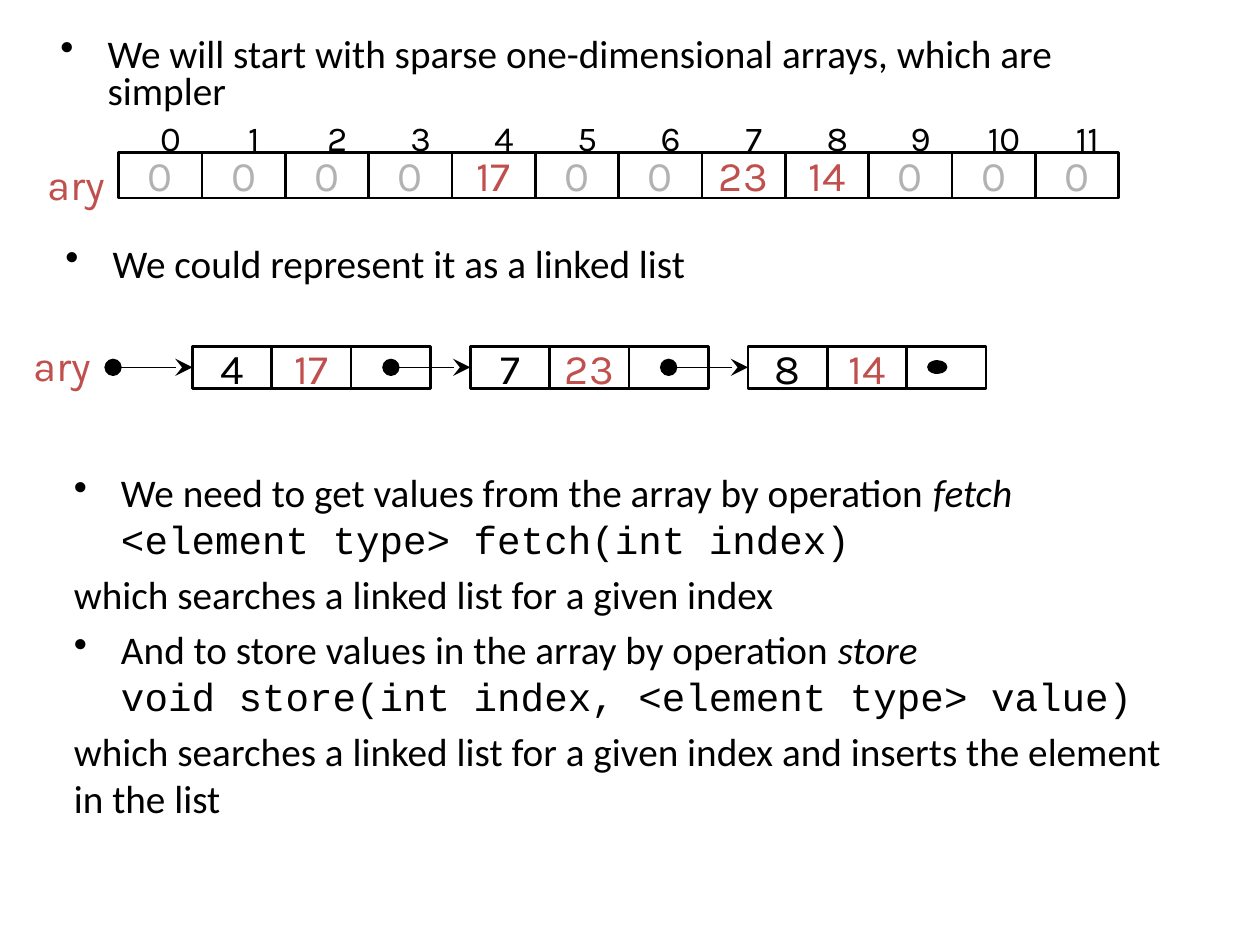
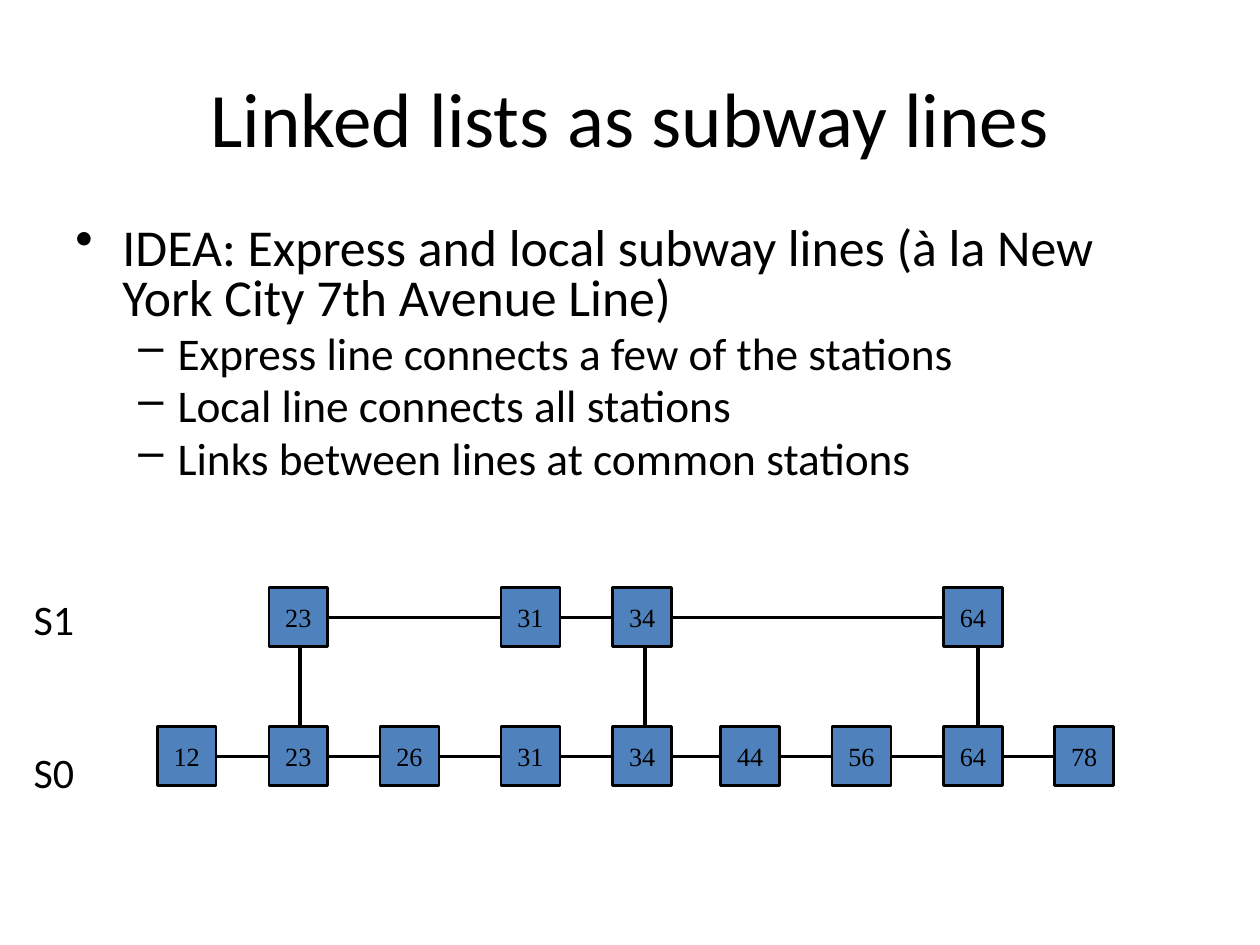
"""Build two slides on sparse arrays as linked lists and on subway lines."""
from dataclasses import dataclass
from itertools import pairwise

from lxml import etree
from pptx import Presentation
from pptx.dml.color import RGBColor
from pptx.enum.shapes import MSO_CONNECTOR, MSO_SHAPE
from pptx.enum.text import MSO_ANCHOR, PP_ALIGN
from pptx.oxml.ns import qn
from pptx.util import Cm, Pt

PROCESS, RECTANGLE, OVAL = MSO_SHAPE.FLOWCHART_PROCESS, MSO_SHAPE.RECTANGLE, MSO_SHAPE.OVAL
STRAIGHT = MSO_CONNECTOR.STRAIGHT
TOP, MIDDLE = MSO_ANCHOR.TOP, MSO_ANCHOR.MIDDLE
LEFT, CENTER = PP_ALIGN.LEFT, PP_ALIGN.CENTER

BLACK, GREY, RED, BLUE = "000000", "B2B2B2", "C0504D", "4F81BD"
BODY, CODE, LABEL, STATION = "Calibri", "Courier New", "Karla", "Times New Roman"
BREAK = "\n"


@dataclass(frozen=True)
class Span:
    """Text in one format."""

    text: str
    size: float = 22.4
    font: str = BODY
    color: str = BLACK
    italic: bool = False


@dataclass(frozen=True)
class Para:
    """A paragraph with its spacing, margin and bullet."""

    spans: tuple[Span, ...]
    align: PP_ALIGN = LEFT
    line_spacing: float = 1.0
    before: float = 0
    bullet: str = ""
    margin: float = 0
    hanging: float = 0
    level: int = 0


@dataclass(frozen=True)
class Frame:
    """A position and size in centimetres."""

    left: float
    top: float
    width: float
    height: float

    def lengths(self) -> tuple[Cm, ...]:
        """Return the four values as lengths."""
        return Cm(self.left), Cm(self.top), Cm(self.width), Cm(self.height)


def rgb(color: str) -> RGBColor:
    """Turn a hex string into a colour."""
    return RGBColor.from_string(color)


def set_values(target, values: dict) -> None:
    """Set each named attribute of the target."""
    for name, value in values.items():
        setattr(target, name, value)


def add_bullet(paragraph, para: Para) -> None:
    """Give a paragraph a hanging bullet."""
    properties = paragraph._p.get_or_add_pPr()
    properties.set("marL", str(Cm(para.margin)))
    properties.set("indent", str(-Cm(para.hanging)))
    bullet_color = etree.SubElement(properties, qn("a:buClr"))
    etree.SubElement(bullet_color, qn("a:srgbClr"), val=BLACK)
    etree.SubElement(properties, qn("a:buChar"), char=para.bullet)


def write(shape, paras: list[Para], anchor: MSO_ANCHOR = TOP) -> None:
    """Write paragraphs into a shape."""
    text_frame = shape.text_frame
    set_values(text_frame, {"word_wrap": True, "vertical_anchor": anchor})
    for number, para in enumerate(paras):
        paragraph = text_frame.add_paragraph() if number else text_frame.paragraphs[0]
        set_values(paragraph, {
            "alignment": para.align,
            "line_spacing": para.line_spacing,
            "space_before": Pt(para.before),
            "level": para.level,
        })
        if para.bullet:
            add_bullet(paragraph, para)
        for span in para.spans:
            if span.text == BREAK:
                paragraph.add_line_break()
                continue
            run = paragraph.add_run()
            run.text = span.text
            set_values(run.font, {"name": span.font, "size": Pt(span.size), "italic": span.italic})
            run.font.color.rgb = rgb(span.color)


def add_text(shapes, frame: Frame, paras: list[Para], anchor: MSO_ANCHOR = TOP) -> None:
    """Add a text box."""
    write(shapes.add_textbox(*frame.lengths()), paras, anchor)


def add_box(shapes, kind: MSO_SHAPE, frame: Frame, span: Span | None = None,
            fill: str = "", line: str = BLACK) -> None:
    """Add a preset shape with optional centred text."""
    box = shapes.add_shape(kind, *frame.lengths())
    box.shadow.inherit = False
    if fill:
        box.fill.solid()
        box.fill.fore_color.rgb = rgb(fill)
    else:
        box.fill.background()
    if line:
        box.line.width = Pt(1.5)
        box.line.color.rgb = rgb(line)
    else:
        box.line.fill.background()
    if span:
        write(box, [Para((span,), CENTER)], MIDDLE)


def add_line(shapes, start: tuple[float, float], end: tuple[float, float],
             width: float = 1.5, pointer: bool = False) -> None:
    """Add a straight line, as a pointer with a dot and an arrowhead if asked."""
    line = shapes.add_connector(STRAIGHT, *(Cm(value) for value in start + end))
    line.line.width = Pt(width)
    line.line.color.rgb = rgb(BLACK)
    properties = line._element.spPr
    if pointer:
        outline = properties.find(qn("a:ln"))
        for tag, kind in (("a:headEnd", "oval"), ("a:tailEnd", "stealth")):
            etree.SubElement(outline, qn(tag), type=kind, w="lg", len="lg")
    etree.SubElement(properties, qn("a:effectLst"))


def bulleted(*spans: Span, **formats) -> Para:
    """Make a first-level bullet paragraph."""
    return Para(spans, bullet="•", margin=0.95, hanging=0.95, **formats)


def draw_array(shapes) -> None:
    """Draw the sparse array under its indexes."""
    pitch, height = 1.68, 0.92
    values = (0, 0, 0, 0, 17, 0, 0, 23, 14, 0, 0, 0)
    for index, value in enumerate(values):
        cell = Frame(2.39 + index * pitch, 3.07, pitch, height)
        add_box(shapes, PROCESS, cell, Span(str(value), 24, LABEL, RED if value else GREY))
    for index in range(len(values)):
        heading = Frame(2.6 + index * pitch, 2.31, pitch, height)
        add_box(shapes, PROCESS, heading, Span(str(index), 20, LABEL), line="")
    add_text(shapes, Frame(0.71, 3.07, 2.72, height), [Para((Span("ary", 24, LABEL, RED),))])


def draw_linked_list(shapes) -> None:
    """Draw the chain of index, value and pointer cells."""
    top, width, height = 6.98, 1.6, 0.85
    middle = top + height / 2
    for number, (index, value) in enumerate(((4, 17), (7, 23), (8, 14))):
        left = 3.88 + number * 5.6
        contents = (Span(str(index), 24, LABEL), Span(str(value), 24, LABEL, RED), None)
        for column, span in enumerate(contents):
            add_box(shapes, PROCESS, Frame(left + column * width, top, width, height), span)
        add_line(shapes, (left - width, middle), (left, middle), 0.75, pointer=True)
    add_box(shapes, OVAL, Frame(18.69, 7.26, 0.41, 0.28), fill=BLACK, line="")
    add_text(shapes, Frame(0.43, 6.71, 2.59, height), [Para((Span("ary", 24, LABEL, RED),))])


def draw_subway(shapes) -> None:
    """Draw the express and local lines with the links between them."""
    size = 1.19
    lefts = {12: 3.17, 23: 5.42, 26: 7.66, 31: 10.1, 34: 12.35,
             44: 14.53, 56: 16.77, 64: 19.02, 78: 21.26}
    for top, stops in ((14.65, tuple(lefts)), (11.85, (23, 31, 34, 64))):
        middle = top + size / 2
        for stop in stops:
            add_box(shapes, RECTANGLE, Frame(lefts[stop], top, size, size),
                    Span(str(stop), 15, STATION), BLUE)
        for stop, following in pairwise(stops):
            add_line(shapes, (lefts[stop] + size, middle), (lefts[following], middle))
    for link in (6.05, 13.0, 19.71):
        add_line(shapes, (link, 13.0), (link, 14.68), 2.25)
    add_text(shapes, Frame(0.43, 11.84, 1.7, 4.37),
             [Para((Span("S1", 24),)), Para((Span("S0", 24),), before=58.5)])


def build_array_page(page) -> None:
    """Fill the page on sparse arrays."""
    add_text(page.shapes, Frame(0.97, 0.64, 22.86, 1.27), [bulleted(
        Span("We will start with sparse one-dimensional arrays, which are simpler"),
        line_spacing=0.8)])
    draw_array(page.shapes.add_group_shape().shapes)
    add_text(page.shapes, Frame(1.07, 4.88, 22.86, 1.07), [bulleted(
        Span("We could represent it as a linked list"), line_spacing=0.8)])
    draw_linked_list(page.shapes.add_group_shape().shapes)
    add_text(page.shapes, Frame(1.24, 9.32, 22.86, 9.09), [
        bulleted(Span("We need to get values from the array by operation "),
                 Span("fetch ", italic=True), Span(BREAK),
                 Span("<element type> fetch(int index)", font=CODE)),
        Para((Span("which searches a linked list for a given index"),), before=4.5),
        bulleted(Span("And to store values in the array by operation "),
                 Span("store", italic=True), Span(BREAK),
                 Span("void store(int index, <element type> value)", font=CODE), before=4.5),
        Para((Span("which searches a linked list for a given index and inserts "
                   "the element in the list"),), before=4.5),
    ])


def build_subway_page(page) -> None:
    """Fill the page on subway lines."""
    add_text(page.shapes, Frame(1.27, 0.76, 22.86, 3.18),
             [Para((Span("Linked lists as subway lines", 44),), CENTER)], MIDDLE)
    details = ("Express line connects a few of the stations",
               "Local line connects all stations",
               "Links between lines at common stations")
    idea = bulleted(Span("IDEA: Express and local subway lines "
                         "(à la New York City 7th Avenue Line)", 29.6), line_spacing=0.8)
    add_text(page.shapes, Frame(1.27, 4.45, 22.86, 5.92), [idea] + [
        Para((Span(detail, 25.9),), line_spacing=0.8, before=5.2, bullet="–",
             margin=2.06, hanging=0.79, level=1) for detail in details])
    draw_subway(page.shapes.add_group_shape().shapes)


def main() -> None:
    """Build and save the deck."""
    deck = Presentation()
    set_values(deck, {"slide_width": Cm(25.4), "slide_height": Cm(19.05)})
    for build in (build_array_page, build_subway_page):
        build(deck.slides.add_slide(deck.slide_layouts[6]))
    deck.save("out.pptx")


if __name__ == "__main__":
    main()
